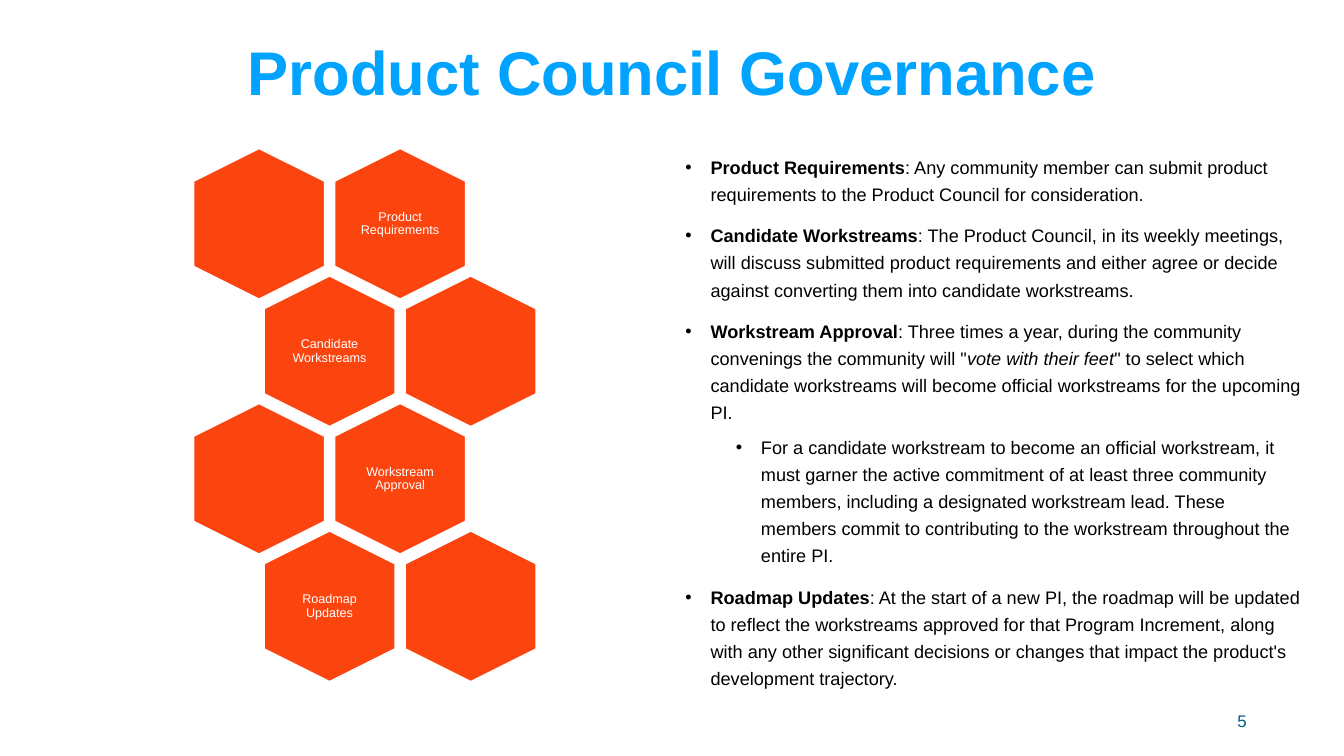
from pptx import Presentation
from pptx import util as u
from pptx.dml.color import RGBColor
from pptx.enum import shapes, text
from pptx.oxml.ns import qn
from lxml import etree

WIDTH, HEIGHT = 26.67, 15

REQUIREMENTS = "Product Requirements"
CANDIDATES = "Candidate Workstreams"
APPROVAL = "Workstream Approval"
ROADMAP = "Roadmap Updates"

# Each entry: level, then runs of (words, style)
STEPS = [
    (0, [(REQUIREMENTS, "bold"),
         (": Any community member can submit product requirements to the "
          "Product Council for consideration.", "")]),
    (0, [(CANDIDATES, "bold"),
         (": The Product Council, in its weekly meetings, will discuss submitted "
          "product requirements and either agree or decide against converting "
          "them into candidate workstreams.", "")]),
    (0, [(APPROVAL, "bold"),
         (": Three times a year, during the community convenings the community "
          "will \"", ""),
         ("vote with their feet", "italic"),
         ("\" to select which candidate workstreams will become official "
          "workstreams for the upcoming PI.", "")]),
    (1, [("For a candidate workstream to become an official workstream, it must "
          "garner the active commitment of at least three community members, "
          "including a designated workstream lead. These members commit to "
          "contributing to the workstream throughout the entire PI.", "")]),
    (0, [(ROADMAP, "bold"),
         (": At the start of a new PI, the roadmap will be updated to reflect the "
          "workstreams approved for that Program Increment, along with any other "
          "significant decisions or changes that impact the product's "
          "development trajectory.", "")]),
]

# Rows of the honeycomb, left to right; odd rows sit half a cell further right
HONEYCOMB = [
    ("", REQUIREMENTS),
    (CANDIDATES, ""),
    ("", APPROVAL),
    (ROADMAP, ""),
]


def color(hex_string):
    return RGBColor.from_string(hex_string)


class GovernanceSlide:
    font = "Arial"
    blue, orange, teal = "00A3FF", "FC440F", "005A83"
    black, white = "000000", "FFFFFF"
    cell_width, cell_height = 2.8, 2.53
    first_x, first_y = 5.14, 4.44
    hexagon_length, hexagon_breadth = 2.98, 2.59

    def __init__(self, deck):
        self.slide = deck.slides.add_slide(deck.slide_layouts[1])

    def share(self, left, top, width, height):
        """Turn percentages of the slide's size into lengths."""
        return [u.Inches(percent * side / 100) for percent, side in
                zip((left, top, width, height), (WIDTH, HEIGHT) * 2)]

    def around(self, x, y, width, height):
        """Box centred on a point."""
        return [u.Inches(n) for n in (x - width / 2, y - height / 2, width, height)]

    def place(self, holder, area):
        holder.left, holder.top, holder.width, holder.height = self.share(*area)
        holder.text_frame.auto_size = text.MSO_AUTO_SIZE.NONE
        return holder.text_frame

    def run(self, paragraph, words, size, hex_color, style=""):
        run = paragraph.add_run()
        run.text = words
        run.font.name = self.font
        run.font.size = u.Pt(size)
        run.font.color.rgb = color(hex_color)
        run.font.bold = style == "bold"
        run.font.italic = style == "italic"

    def title(self, words, area):
        frame = self.place(self.slide.shapes.title, area)
        frame.vertical_anchor = text.MSO_ANCHOR.MIDDLE
        heading = frame.paragraphs[0]
        heading.alignment = text.PP_ALIGN.CENTER
        heading.line_spacing = 0.9
        self.run(heading, words, 88, self.blue, "bold")

    def bullets(self, entries, area):
        frame = self.place(self.slide.placeholders[1], area)
        for number, (level, runs) in enumerate(entries):
            entry = frame.add_paragraph() if number else frame.paragraphs[0]
            entry.level = level
            entry.line_spacing = 1.25
            entry.space_before = u.Pt((10 if level else 20) if number else 0)
            properties = entry._p.get_or_add_pPr()
            properties.set("marL", str(u.Inches(0.5 + level)))
            properties.set("indent", str(u.Inches(-0.5)))
            etree.SubElement(properties, qn("a:buChar"), char="•")
            for words, style in runs:
                self.run(entry, words, 25.9, self.black, style)

    def text_box(self, words, box, size, hex_color, align, spacing=1.0, inset=0.1):
        frame = self.slide.shapes.add_textbox(*box).text_frame
        frame.word_wrap = True
        frame.vertical_anchor = text.MSO_ANCHOR.MIDDLE
        frame.margin_left = frame.margin_right = u.Inches(inset)
        line = frame.paragraphs[0]
        line.alignment = align
        line.line_spacing = spacing
        self.run(line, words, size, hex_color)

    def hexagon(self, column, row, label):
        """Upright hexagon; its label is a separate box, as the shape is rotated."""
        x = self.first_x + column * self.cell_width
        y = self.first_y + row * self.cell_height
        cell = self.slide.shapes.add_shape(
            shapes.MSO_SHAPE.HEXAGON,
            *self.around(x, y, self.hexagon_length, self.hexagon_breadth))
        cell.rotation = 90
        cell.adjustments[0] = 0.25
        cell.shadow.inherit = False
        cell.fill.solid()
        cell.fill.fore_color.rgb = color(self.orange)
        cell.line.color.rgb = color(self.white)
        cell.line.width = u.Pt(1.5)
        if label:
            self.text_box(label, self.around(x, y, 1.78, 2.05), 18, self.white,
                          text.PP_ALIGN.CENTER, spacing=0.9, inset=0.07)

    def honeycomb(self, rows):
        for row, labels in enumerate(rows):
            for column, label in enumerate(labels):
                self.hexagon(column + row % 2 / 2, row, label)

    def page_number(self, number, area):
        self.text_box(number, self.share(*area), 24, self.teal, text.PP_ALIGN.RIGHT)


def main():
    deck = Presentation()
    deck.slide_width, deck.slide_height = u.Inches(WIDTH), u.Inches(HEIGHT)
    governance = GovernanceSlide(deck)
    governance.title("Product Council Governance", (6.86, 0.27, 86.24, 19.33))
    governance.bullets(STEPS, (50.62, 19.6, 46.62, 70.47))
    governance.page_number("5", (70.64, 92.67, 22.5, 5.33))
    governance.honeycomb(HONEYCOMB)
    deck.save("out.pptx")


if __name__ == "__main__":
    main()
